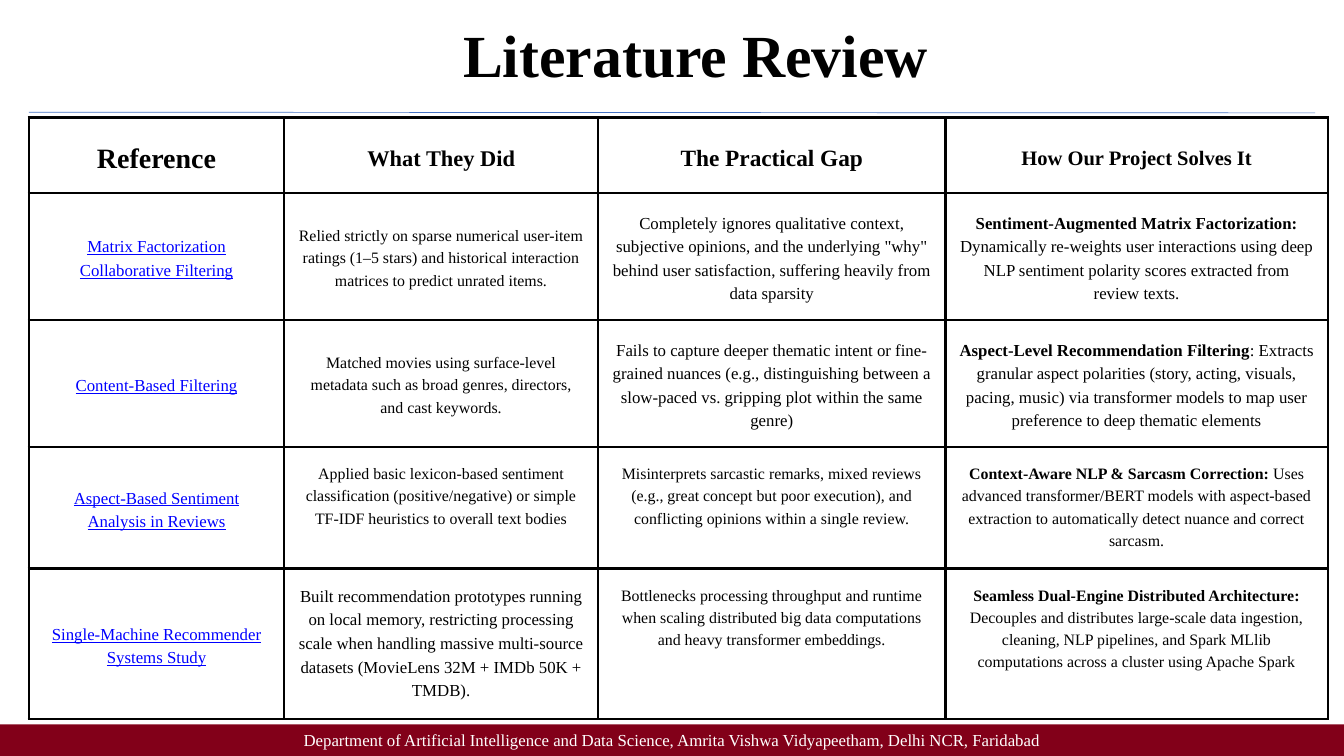
"""Build the literature review slide with its comparison table."""
from lxml.etree import SubElement
from pptx import Presentation
from pptx.dml.color import RGBColor
from pptx.enum.shapes import MSO_CONNECTOR, MSO_SHAPE
from pptx.enum.text import MSO_ANCHOR, MSO_AUTO_SIZE, PP_ALIGN
from pptx.oxml.ns import qn
from pptx.util import Inches, Pt

TITLE = "Literature Review"
DEPARTMENT = (
    "Department of Artificial Intelligence and Data Science, "
    "Amrita Vishwa Vidyapeetham, Delhi NCR, Faridabad"
)
HEADINGS = [
    ("Reference", 30),
    ("What They Did", 24),
    ("The Practical Gap", 25),
    ("How Our Project Solves It", 22),
]
STUDIES = [
    {
        "reference": "Matrix Factorization Collaborative Filtering",
        "did": "Relied strictly on sparse numerical user-item ratings (1–5 stars) and "
               "historical interaction matrices to predict unrated items.",
        "gap": "Completely ignores qualitative context, subjective opinions, and the underlying "
               "\"why\" behind user satisfaction, suffering heavily from data sparsity",
        "solution": ("Sentiment-Augmented Matrix Factorization: ",
                     "Dynamically re-weights user interactions using deep NLP sentiment "
                     "polarity scores extracted from review texts."),
        "sizes": (17, 18, 18),
        "anchor": MSO_ANCHOR.MIDDLE,
    },
    {
        "reference": "Content-Based Filtering",
        "did": "Matched movies using surface-level metadata such as broad genres, directors, "
               "and cast keywords.",
        "gap": "Fails to capture deeper thematic intent or fine-grained nuances (e.g., "
               "distinguishing between a slow-paced vs. gripping plot within the same genre)",
        "solution": ("Aspect-Level Recommendation Filtering",
                     ": Extracts granular aspect polarities (story, acting, visuals, pacing, "
                     "music) via transformer models to map user preference to deep thematic "
                     "elements"),
        "sizes": (17, 18, 18),
        "anchor": MSO_ANCHOR.MIDDLE,
    },
    {
        "reference": "Aspect-Based Sentiment Analysis in Reviews",
        "did": "Applied basic lexicon-based sentiment classification (positive/negative) or "
               "simple TF-IDF heuristics to overall text bodies",
        "gap": "Misinterprets sarcastic remarks, mixed reviews (e.g., great concept but poor "
               "execution), and conflicting opinions within a single review.",
        "solution": ("Context-Aware NLP & Sarcasm Correction: ",
                     "Uses advanced transformer/BERT models with aspect-based extraction to "
                     "automatically detect nuance and correct sarcasm."),
        "sizes": (17, 17, 17),
        "anchor": MSO_ANCHOR.TOP,
    },
    {
        "reference": "Single-Machine Recommender Systems Study",
        "did": "Built recommendation prototypes running on local memory, restricting processing "
               "scale when handling massive multi-source datasets (MovieLens 32M + IMDb 50K + "
               "TMDB).",
        "gap": "Bottlenecks processing throughput and runtime when scaling distributed big data "
               "computations and heavy transformer embeddings.",
        "solution": ("Seamless Dual-Engine Distributed Architecture:",
                     " Decouples and distributes large-scale data ingestion, cleaning, NLP "
                     "pipelines, and Spark MLlib computations across a cluster using Apache "
                     "Spark"),
        "sizes": (18, 17, 17),
        "anchor": MSO_ANCHOR.TOP,
    },
]
COLUMN_WIDTHS = [3.8, 4.67, 5.17, 5.69]
ROW_HEIGHTS = [1.12, 1.89, 1.89, 1.81, 2.24]
THEME = {
    "font": "Times New Roman",
    "ink": RGBColor(0, 0, 0),
    "paper": RGBColor(255, 255, 255),
    "link": RGBColor(0, 0, 255),
    "rule": RGBColor(0x44, 0x72, 0xC4),
    "band": RGBColor(0x82, 0x00, 0x19),
    "title_size": 64,
    "reference_size": 18,
    "footer_size": 18,
    "cell_leading": 1.4,
    "leading": 1.2,
    "border": 3,
    "cell_inset": 0.21,
}


def inset(holder, margin):
    holder.margin_left = holder.margin_right = Inches(margin)
    holder.margin_top = holder.margin_bottom = Inches(margin)


def write(frame, text, size, color, leading, bold=False, underline=False):
    frame.word_wrap = True
    line = frame.paragraphs[0]
    line.alignment = PP_ALIGN.CENTER
    line.line_spacing = Pt(round(size * leading, 1))
    font = line.font
    font.name, font.size, font.color.rgb = THEME["font"], Pt(size), color
    font.bold, font.underline = bold, underline
    line.add_run().text = text
    return line


def add_border(cell):
    properties = cell._tc.get_or_add_tcPr()
    for position, side in enumerate(("a:lnL", "a:lnR", "a:lnT", "a:lnB")):
        border = properties.makeelement(qn(side), {"w": str(Pt(THEME["border"]))})
        properties.insert(position, border)
        fill = SubElement(border, qn("a:solidFill"))
        SubElement(fill, qn("a:srgbClr"), val=str(THEME["ink"]))


def fill_cell(cell, text, size, anchor=MSO_ANCHOR.MIDDLE, color=THEME["ink"], **style):
    cell.fill.solid()
    cell.fill.fore_color.rgb = THEME["paper"]
    cell.vertical_anchor = anchor
    inset(cell, THEME["cell_inset"])
    add_border(cell)
    return write(cell.text_frame, text, size, color, THEME["cell_leading"], **style)


def add_title(slide):
    title = slide.shapes.title
    title.left, title.top = Inches(3.06), Inches(0.26)
    title.width, title.height = Inches(14.58), Inches(2.17)
    frame = title.text_frame
    frame.auto_size = MSO_AUTO_SIZE.NONE
    frame.vertical_anchor = MSO_ANCHOR.TOP
    inset(frame, 0)
    write(frame, TITLE, THEME["title_size"], THEME["ink"], THEME["leading"], bold=True)


def add_rule(slide):
    rule = slide.shapes.add_connector(
        MSO_CONNECTOR.STRAIGHT, Inches(0.43), Inches(1.67), Inches(19.57), Inches(1.68))
    rule.line.color.rgb = THEME["rule"]
    rule.line.width = Pt(0.75)
    SubElement(rule._element.spPr, qn("a:effectLst"))


def add_footer(slide):
    band = slide.shapes.add_shape(
        MSO_SHAPE.RECTANGLE, 0, Inches(10.78), Inches(20), Inches(0.47))
    band.shadow.inherit = False
    band.fill.solid()
    band.fill.fore_color.rgb = THEME["band"]
    band.line.fill.background()
    band.text_frame.vertical_anchor = MSO_ANCHOR.MIDDLE
    inset(band.text_frame, 0.06)
    write(band.text_frame, DEPARTMENT, THEME["footer_size"], THEME["paper"], THEME["leading"])


def add_review(slide):
    review = slide.shapes.add_table(
        len(ROW_HEIGHTS), len(COLUMN_WIDTHS), Inches(0.43), Inches(1.75),
        Inches(sum(COLUMN_WIDTHS)), Inches(sum(ROW_HEIGHTS))).table
    review.first_row = review.horz_banding = False
    for column, width in zip(review.columns, COLUMN_WIDTHS):
        column.width = Inches(width)
    for row, height in zip(review.rows, ROW_HEIGHTS):
        row.height = Inches(height)
    for column, (heading, size) in enumerate(HEADINGS):
        fill_cell(review.cell(0, column), heading, size, bold=True)
    for row, study in enumerate(STUDIES, start=1):
        reference, did, gap, solution = review.rows[row].cells
        did_size, gap_size, solution_size = study["sizes"]
        anchor = study["anchor"]
        approach, detail = study["solution"]
        fill_cell(reference, study["reference"], THEME["reference_size"],
                  color=THEME["link"], underline=True)
        fill_cell(did, study["did"], did_size, anchor)
        fill_cell(gap, study["gap"], gap_size, anchor)
        line = fill_cell(solution, approach, solution_size, anchor)
        line.runs[0].font.bold = True
        line.add_run().text = detail


def main():
    deck = Presentation()
    deck.slide_width, deck.slide_height = Inches(20), Inches(11.25)
    slide = deck.slides.add_slide(deck.slide_layouts[5])
    add_title(slide)
    add_rule(slide)
    add_footer(slide)
    add_review(slide)
    deck.save("out.pptx")


if __name__ == "__main__":
    main()
